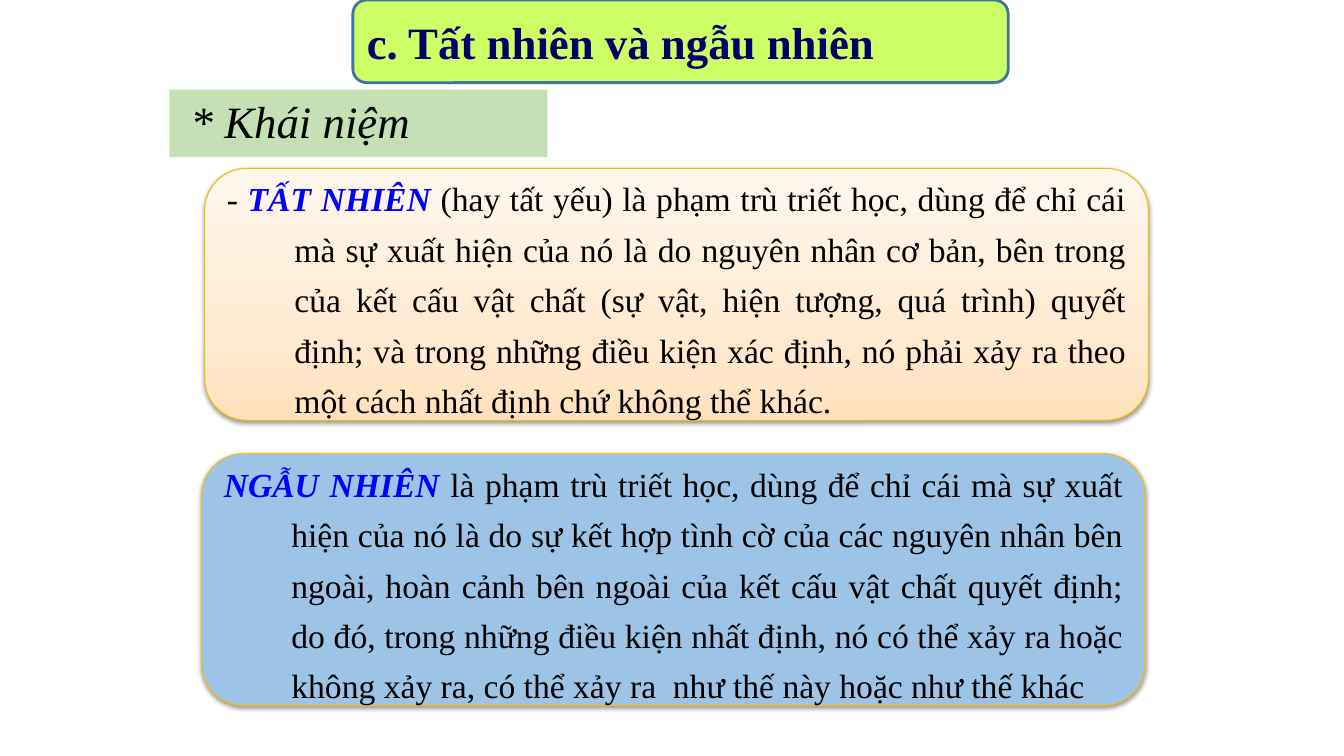
import pptx
import pptx.util
import pptx.dml.color
import pptx.enum.shapes
import pptx.enum.text
import pptx.oxml.ns
from lxml import etree

Inches = pptx.util.Inches
RGBColor = pptx.dml.color.RGBColor
Shapes = pptx.enum.shapes.MSO_SHAPE
Align = pptx.enum.text.PP_ALIGN
qn = pptx.oxml.ns.qn

FONT = "Times New Roman"
BLACK = RGBColor(0x00, 0x00, 0x00)
NAVY = RGBColor(0x00, 0x00, 0x66)
BLUE = RGBColor(0x00, 0x00, 0xFF)
LIME = RGBColor(0xCC, 0xFF, 0x66)
STEEL = RGBColor(0x43, 0x73, 0x9E)
GREEN = RGBColor(0xC5, 0xE0, 0xB4)
GOLD = RGBColor(0xF9, 0xBC, 0x00)
SKY = RGBColor(0x9D, 0xC3, 0xE6)
PEACH = [
    (0, RGBColor(0xFF, 0xE2, 0xBD)),
    (35, RGBColor(0xFF, 0xEA, 0xD1)),
    (100, RGBColor(0xFF, 0xF7, 0xEE)),
]

SECTION = "c. Tất nhiên và ngẫu nhiên"
TOPIC = " * Khái niệm"
DEFINITIONS = [
    {
        "corner": (2.03, 1.67),
        "fill": PEACH,
        "lead": "- ",
        "term": "TẤT NHIÊN",
        "meaning": " (hay tất yếu) là phạm trù triết học, dùng để chỉ cái mà sự xuất hiện "
        "của nó là do nguyên nhân cơ bản, bên trong của kết cấu vật chất (sự vật, hiện tượng, "
        "quá trình) quyết định; và trong những điều kiện xác định, nó phải xảy ra theo một "
        "cách nhất định chứ không thể khác.",
    },
    {
        "corner": (2, 4.5),
        "fill": SKY,
        "lead": "",
        "term": "NGẪU NHIÊN",
        "meaning": " là phạm trù triết học, dùng để chỉ cái mà sự xuất hiện của nó là do sự "
        "kết hợp tình cờ của các nguyên nhân bên ngoài, hoàn cảnh bên ngoài của kết cấu vật "
        "chất quyết định; do đó, trong những điều kiện nhất định, nó có thể xảy ra hoặc không "
        "xảy ra, có thể xảy ra  như thế này hoặc như thế khác",
    },
]
DEFINITION_SIZE = (9.36, 2.5)
HANGING = 0.67


def add_text(paragraph, text, size=24, color=BLACK, bold=False, italic=False):
    """Append a formatted run to a paragraph."""
    run = paragraph.add_run()
    run.text = text
    run.font.name = FONT
    run.font.size = pptx.util.Pt(size)
    run.font.color.rgb = color
    run.font.bold = bold
    run.font.italic = italic


def open_paragraph(shape, align=Align.LEFT, spacing=1.0):
    """Prepare the text frame of a shape and return its first paragraph."""
    frame = shape.text_frame
    frame.word_wrap = True
    frame.auto_size = pptx.enum.text.MSO_AUTO_SIZE.NONE
    frame.vertical_anchor = pptx.enum.text.MSO_ANCHOR.MIDDLE
    paragraph = frame.paragraphs[0]
    paragraph.alignment = align
    paragraph.line_spacing = spacing
    paragraph.space_before = pptx.util.Pt(0)
    return paragraph


def add_panel(slide, corner, size, line, width):
    """Add a rounded panel with an outline and no shadow."""
    panel = slide.shapes.add_shape(
        Shapes.ROUNDED_RECTANGLE, *(Inches(length) for length in (*corner, *size))
    )
    panel.shadow.inherit = False
    panel.line.color.rgb = line
    panel.line.width = pptx.util.Pt(width)
    return panel


def add_color(parent, color):
    """Append an RGB colour element."""
    return etree.SubElement(parent, qn("a:srgbClr"), val=str(color))


def fill_gradient(panel, stops):
    """Fill a panel with a gradient that runs from bottom to top."""
    panel.fill.gradient()
    panel.fill.gradient_angle = 90
    stop_list = next(panel._element.spPr.iter(qn("a:gsLst")))
    for stop in list(stop_list):
        stop_list.remove(stop)
    for percent, color in stops:
        add_color(etree.SubElement(stop_list, qn("a:gs"), pos=str(percent * 1000)), color)


def drop_shadow(panel):
    """Give a panel a soft shadow below it."""
    effects = panel._element.spPr.find(qn("a:effectLst"))
    shadow = etree.SubElement(
        effects,
        qn("a:outerShdw"),
        blurRad=str(pptx.util.Pt(3.1)),
        dist=str(pptx.util.Pt(1.6)),
        dir="5400000",
        rotWithShape="0",
    )
    etree.SubElement(add_color(shadow, BLACK), qn("a:alpha"), val="38000")


def add_definition(slide, definition):
    """Add one panel that defines a term."""
    panel = add_panel(slide, definition["corner"], DEFINITION_SIZE, GOLD, 0.75)
    if definition["fill"] is PEACH:
        fill_gradient(panel, PEACH)
    else:
        panel.fill.solid()
        panel.fill.fore_color.rgb = definition["fill"]
    drop_shadow(panel)
    paragraph = open_paragraph(panel, Align.JUSTIFY, 1.25)
    properties = paragraph._p.get_or_add_pPr()
    properties.set("marL", str(Inches(HANGING)))
    properties.set("indent", str(-Inches(HANGING)))
    if definition["lead"]:
        add_text(paragraph, definition["lead"])
    add_text(paragraph, definition["term"], color=BLUE, bold=True, italic=True)
    add_text(paragraph, definition["meaning"])


def main():
    """Build the slide and save it."""
    deck = pptx.Presentation()
    deck.slide_width, deck.slide_height = Inches(13.33), Inches(7.5)
    slide = deck.slides.add_slide(deck.slide_layouts[5])

    section = add_panel(slide, (3.5, 0), (6.5, 0.82), STEEL, 2)
    section.fill.solid()
    section.fill.fore_color.rgb = LIME
    add_text(open_paragraph(section), SECTION, size=32, color=NAVY, bold=True)

    topic = slide.shapes.title
    topic.left, topic.top = Inches(1.68), Inches(0.89)
    topic.width, topic.height = Inches(3.75), Inches(0.67)
    topic.fill.solid()
    topic.fill.fore_color.rgb = GREEN
    add_text(open_paragraph(topic, spacing=0.9), TOPIC, size=32, italic=True)

    for definition in DEFINITIONS:
        add_definition(slide, definition)

    deck.save("out.pptx")


if __name__ == "__main__":
    main()
